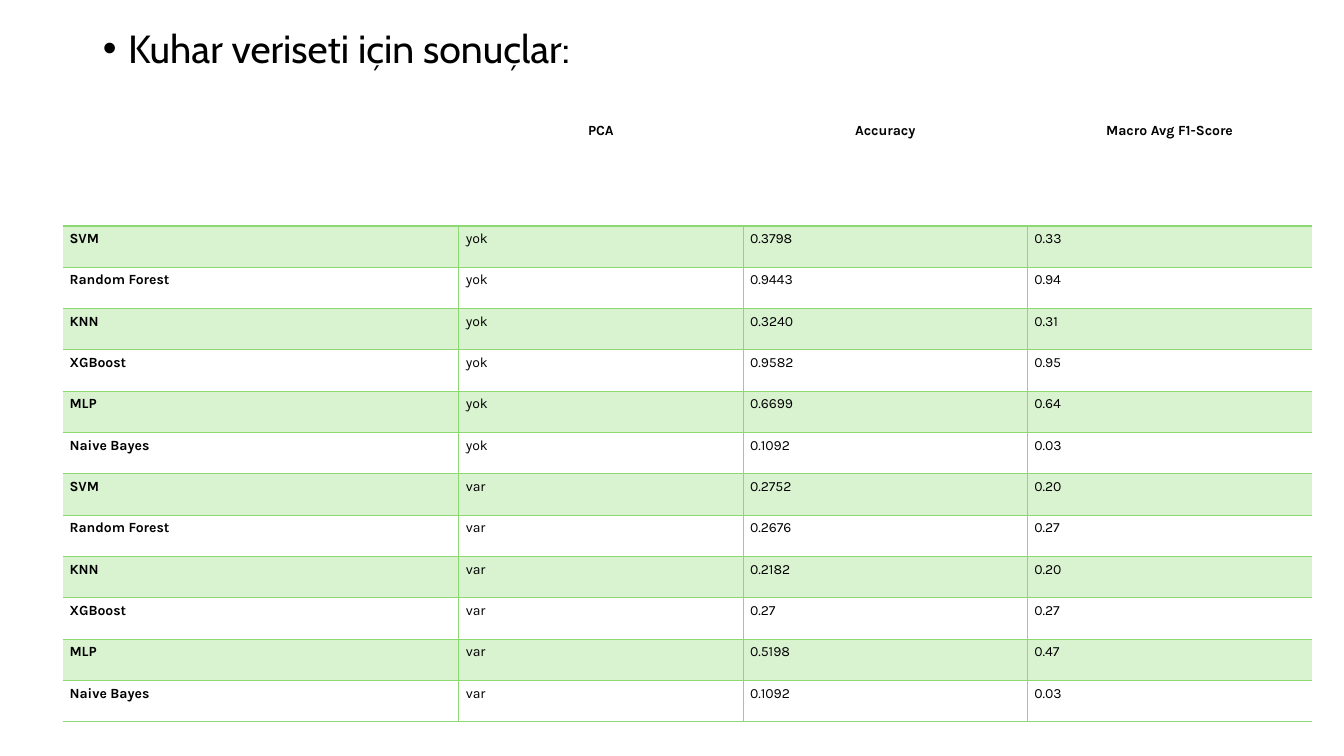
from lxml.etree import SubElement
from pptx import Presentation
from pptx.dml.color import RGBColor
from pptx.enum.text import MSO_ANCHOR, PP_ALIGN
from pptx.oxml.ns import qn
from pptx.util import Inches, Pt

BLACK = RGBColor(0x00, 0x00, 0x00)
WHITE = RGBColor(0xFF, 0xFF, 0xFF)
BAND_GREEN = RGBColor(0xD9, 0xF2, 0xD0)
LINE_GREEN = RGBColor(0x8D, 0xD8, 0x73)

HEADER = ["", "PCA", "Accuracy", "Macro Avg F1-Score"]
RESULTS = [
    ["SVM", "yok", "0.3798", "0.33"],
    ["Random Forest", "yok", "0.9443", "0.94"],
    ["KNN", "yok", "0.3240", "0.31"],
    ["XGBoost", "yok", "0.9582", "0.95"],
    ["MLP", "yok", "0.6699", "0.64"],
    ["Naive Bayes", "yok", "0.1092", "0.03"],
    ["SVM", "var", "0.2752", "0.20"],
    ["Random Forest", "var", "0.2676", "0.27"],
    ["KNN", "var", "0.2182", "0.20"],
    ["XGBoost", "var", "0.27", "0.27"],
    ["MLP", "var", "0.5198", "0.47"],
    ["Naive Bayes", "var", "0.1092", "0.03"],
]
COLUMN_WIDTHS = [3.93, 2.82, 2.82, 2.82]
ROW_HEIGHTS = [1.07] + [0.41] * len(RESULTS)


def set_font(font, **values):
    font.color.rgb = BLACK
    for name, value in values.items():
        setattr(font, name, value)


def add_border(cell, side, width):
    """Draw one side of a cell; a width of zero hides it."""
    line = SubElement(cell._tc.get_or_add_tcPr(), qn(f"a:ln{side}"), w=str(Pt(width)))
    if width:
        fill = SubElement(line, qn("a:solidFill"))
        SubElement(fill, qn("a:srgbClr"), val=str(LINE_GREEN))
    else:
        SubElement(line, qn("a:noFill"))


deck = Presentation()
deck.slide_width, deck.slide_height = Inches(13.33), Inches(7.5)
page = deck.slides.add_slide(deck.slide_layouts[1])

# Bulleted heading in the body placeholder
title, body = page.placeholders
title.element.getparent().remove(title.element)
body.left, body.top = Inches(0.92), Inches(0.24)
body.width, body.height = Inches(11.5), Inches(6.52)
heading = body.text_frame.paragraphs[0]
heading.text = "Kuhar veriseti için sonuçlar:"
heading.line_spacing = 0.9
heading.space_before = Pt(0)
properties = heading._p.get_or_add_pPr()
properties.set("marL", str(Inches(0.25)))
properties.set("indent", str(Inches(-0.25)))
SubElement(properties, qn("a:buFont"), typeface="Arial")
SubElement(properties, qn("a:buChar"), char="•")
set_font(heading.runs[0].font, name="Cabin", size=Pt(28))

# Results table
frame = page.shapes.add_table(
    len(ROW_HEIGHTS), len(COLUMN_WIDTHS), Inches(0.62), Inches(1.17),
    Inches(sum(COLUMN_WIDTHS)), Inches(sum(ROW_HEIGHTS)))
table = frame.table
for column, width in zip(table.columns, COLUMN_WIDTHS):
    column.width = Inches(width)
for row, height in zip(table.rows, ROW_HEIGHTS):
    row.height = Inches(height)

last_column = len(HEADER) - 1
for row_index, values in enumerate([HEADER] + RESULTS):
    is_header = row_index == 0
    for column_index, value in enumerate(values):
        cell = table.cell(row_index, column_index)
        cell.vertical_anchor = MSO_ANCHOR.TOP
        cell.margin_left = cell.margin_right = Inches(0.07)
        cell.margin_top = cell.margin_bottom = Inches(0.05)

        # Inner verticals below the header, a heavier rule under it
        add_border(cell, "L", 0 if is_header or column_index == 0 else 0.5)
        add_border(cell, "R", 0 if is_header or column_index == last_column else 0.5)
        add_border(cell, "T", {0: 0, 1: 1.5}.get(row_index, 0.5))
        add_border(cell, "B", 1.5 if is_header else 0.5)
        cell.fill.solid()
        cell.fill.fore_color.rgb = BAND_GREEN if row_index % 2 else WHITE

        para = cell.text_frame.paragraphs[0]
        para.alignment = PP_ALIGN.CENTER if is_header else PP_ALIGN.JUSTIFY
        if value:
            span = para.add_run()
            span.text = value
            set_font(span.font, name="Karla", size=Pt(10),
                     bold=is_header or column_index == 0)

deck.save("out.pptx")
